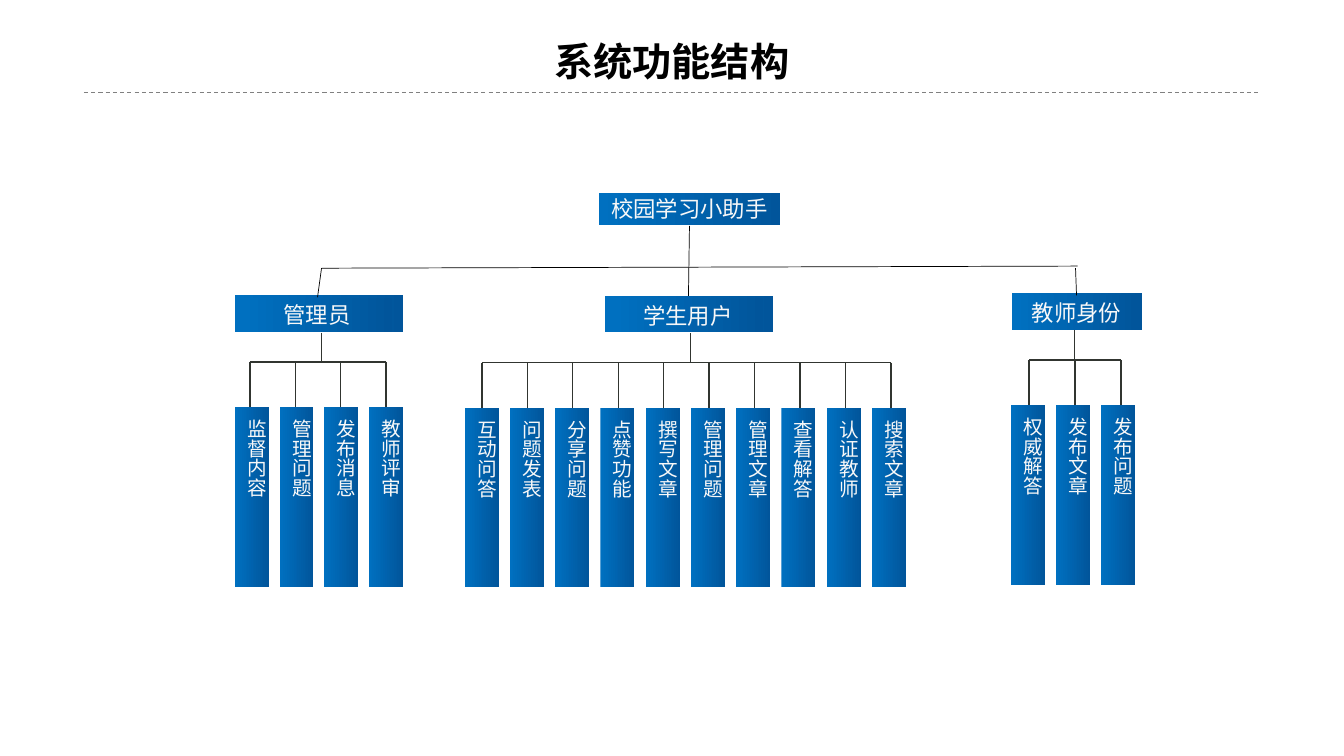
from lxml.etree import SubElement
from pptx import Presentation
from pptx.dml.color import RGBColor
from pptx.enum.dml import MSO_LINE
from pptx.enum.shapes import MSO_CONNECTOR, MSO_SHAPE
from pptx.enum.text import MSO_ANCHOR, MSO_AUTO_SIZE, PP_ALIGN
from pptx.oxml.ns import qn
from pptx.util import Inches, Pt

BLACK = RGBColor(0x00, 0x00, 0x00)
GRAY = RGBColor(0x80, 0x80, 0x80)
CHARCOAL = RGBColor(0x31, 0x35, 0x30)
OFF_WHITE = RGBColor(0xF8, 0xF8, 0xF8)
BLUE = RGBColor(0x00, 0x70, 0xC0)
DEEP_BLUE = RGBColor(0x01, 0x55, 0x9B)

BRANCHES = [
    {"name": "管理员", "top": 9.77, "head": (6.99, 5.01), "label": (7.2, 4.47),
     "stem": 9.57, "bars": (6.99, 10.98), "drops": (7.44, 11.49),
     "functions": ["监督内容", "管理问题", "发布消息", "教师评审"]},
    {"name": "教师身份", "top": 9.7, "head": (30.12, 3.87), "label": (30.21, 3.66),
     "stem": 31.98, "bars": (30.09, 32.76), "drops": (30.63, 33.36),
     "functions": ["权威解答", "发布文章", "发布问题"]},
    {"name": "学生用户", "top": 9.79, "head": (18, 5.01), "label": (18.24, 4.47),
     "stem": 20.55, "bars": (13.83, 25.95), "drops": (14.34, 26.52),
     "functions": ["互动问答", "问题发表", "分享问题", "点赞功能", "撰写文章",
                   "管理问题", "管理文章", "查看解答", "认证教师", "搜索文章"]},
]


def spread(ends, count):
    first, last = ends
    return [first + (last - first) * index / (count - 1) for index in range(count)]


class Chart:
    font_name = "Noto Sans CJK SC"
    columns, rows = 40, 25

    def __init__(self, presentation):
        self.column = presentation.slide_width / self.columns
        self.row = presentation.slide_height / self.rows
        self.slide = presentation.slides.add_slide(presentation.slide_layouts[5])

    def across(self, columns):
        return round(columns * self.column)

    def down(self, rows):
        return round(rows * self.row)

    def area(self, left, top, width, height):
        return self.across(left), self.down(top), self.across(width), self.down(height)

    def set_text(self, shape, text, size, color, align=PP_ALIGN.CENTER, bold=False):
        shape.text_frame.text = text
        paragraph = shape.text_frame.paragraphs[0]
        paragraph.alignment = align
        font = paragraph.runs[0].font
        font.name, font.size, font.bold = self.font_name, Pt(size), bold
        font.color.rgb = color
        properties = paragraph.runs[0]._r.get_or_add_rPr()
        SubElement(properties, qn("a:ea")).set("typeface", self.font_name)

    def title(self, text, *area):
        shape = self.slide.shapes.title
        shape.left, shape.top, shape.width, shape.height = self.area(*area)
        self.set_text(shape, text, 28, BLACK, bold=True)
        shape.text_frame.vertical_anchor = MSO_ANCHOR.TOP
        shape.text_frame.auto_size = MSO_AUTO_SIZE.SHAPE_TO_FIT_TEXT

    def line(self, start, end, color=CHARCOAL, weight=1, dash=None):
        connector = self.slide.shapes.add_connector(
            MSO_CONNECTOR.STRAIGHT, self.across(start[0]), self.down(start[1]),
            self.across(end[0]), self.down(end[1]))
        connector.line.color.rgb = color
        connector.line.width = Pt(weight)
        if dash:
            connector.line.dash_style = dash
        SubElement(connector._element.spPr, qn("a:effectLst"))

    def block(self, *area, text=None):
        shape = self.slide.shapes.add_shape(MSO_SHAPE.RECTANGLE, *self.area(*area))
        shape.shadow.inherit = False
        shape.fill.gradient()
        shape.fill.gradient_angle = 0
        for stop, color, position in zip(shape.fill.gradient_stops, (BLUE, DEEP_BLUE), (0, 1)):
            stop.color.rgb = color
            stop.position = position
        shape.line.fill.background()
        if text:
            self.set_text(shape, text, 16, OFF_WHITE)
            shape.text_frame.word_wrap = False
            shape.text_frame.vertical_anchor = MSO_ANCHOR.MIDDLE

    def vertical_label(self, text, *area):
        shape = self.slide.shapes.add_textbox(*self.area(*area))
        self.set_text(shape, text, 14, OFF_WHITE, PP_ALIGN.LEFT)
        frame = shape.text_frame
        frame.word_wrap = False
        frame.auto_size = MSO_AUTO_SIZE.SHAPE_TO_FIT_TEXT
        frame._txBody.bodyPr.set("vert", "eaVert")

    def branch(self, name, top, head, label, stem, bars, drops, functions):
        bus, bar_top = top + 2.2, top + 3.7
        self.line((stem, top + 1.23), (stem, bus))
        self.line((drops[0], bus), (drops[1], bus))
        for drop in spread(drops, len(functions)):
            self.line((drop, bus), (drop, bar_top))
        self.block(head[0], top, head[1], 1.2)
        self.block(label[0], top + 0.07, label[1], 1.13, text=name)
        for left, function in zip(spread(bars, len(functions)), functions):
            self.block(left, bar_top, 1.01, 5.93)
            self.vertical_label(function, left - 0.12, bar_top + 0.07, 1.26, 2.87)


def main():
    presentation = Presentation()
    presentation.slide_width, presentation.slide_height = Inches(13.33), Inches(7.5)
    chart = Chart(presentation)
    chart.title("系统功能结构", 11.73, 1.07, 16.53, 1.9)
    chart.line((2.5, 3.07), (37.53, 3.07), GRAY, 0.75, MSO_LINE.DASH)
    chart.line((20.52, 7.47), (20.49, 9.83), BLACK, 0.5)
    chart.block(17.82, 6.37, 5.4, 1.07, text="校园学习小助手")
    for branch in BRANCHES:
        chart.branch(**branch)
    for start, end in [((9.57, 8.87), (32.07, 8.8)),
                       ((9.57, 8.87), (9.45, 9.83)),
                       ((32.01, 8.87), (32.04, 9.77))]:
        chart.line(start, end, BLACK, 0.5)
    presentation.save("out.pptx")


if __name__ == "__main__":
    main()
